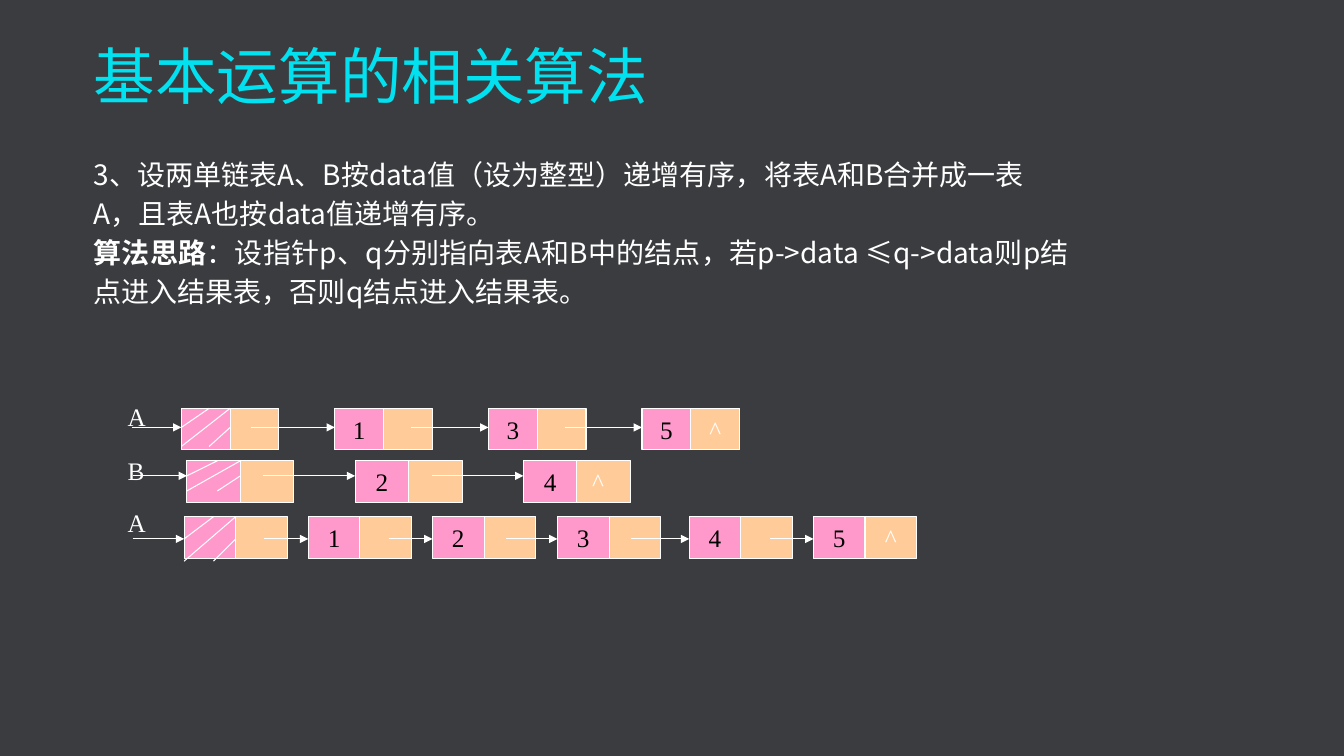
from lxml import etree
from pptx import Presentation
from pptx import util as u
from pptx.dml.color import RGBColor
from pptx.enum import shapes, text
from pptx.oxml import ns

# Content
TITLE = "基本运算的相关算法"
QUESTION = "3、设两单链表A、B按data值（设为整型）递增有序，将表A和B合并成一表A，且表A也按data值递增有序。"
IDEA = "算法思路"
IDEA_TEXT = "：设指针p、q分别指向表A和B中的结点，若p->data ≤q->data则p结点进入结果表，否则q结点进入结果表。"

# One linked list a row, lengths in cm; the first node is the hatched head.
# arrows holds the length of the arrow that ends at each node.
LISTS = [
    dict(name="A", name_top=9.98, top=10.29, cell=1.23, arrow_y=10.77, nil_shift=0,
         values=["", "1", "3", "5"],
         lefts=[4.57 + 3.87 * i for i in range(4)],
         arrows=[1.24, 2.12, 1.95, 1.93]),
    dict(name="B", name_top=11.35, top=11.61, cell=1.35, arrow_y=11.99, nil_shift=0.28,
         values=["", "2", "4"],
         lefts=[4.71 + 4.24 * i for i in range(3)],
         arrows=[1.35, 2.31, 2.31]),
    dict(name="A", name_top=12.65, top=13.02, cell=1.3, arrow_y=13.58, nil_shift=0,
         values=["", "1", "2", "3", "4", "5"],
         lefts=[4.64, 7.77, 10.9, 14.05, 17.37, 20.5],
         arrows=[1.29, 1.12, 1.09, 1.3, 1.47, 1.09]),
]
CELL_H = 1.05
NAME_LEFT, NAME_W, NAME_H = 2.97, 0.95, 1.02

BACKGROUND = RGBColor(0x3A, 0x3C, 0x3F)
CYAN = RGBColor(0x01, 0xE1, 0xEF)
WHITE = RGBColor(0xFF, 0xFF, 0xFF)
BLACK = RGBColor(0, 0, 0)
PINK = RGBColor(0xFF, 0x99, 0xCC)
ORANGE = RGBColor(0xFF, 0xCC, 0x99)
SANS, SERIF = "Noto Sans CJK SC", "Times New Roman"


def set_font(p, name, size, color):
    p.font.name, p.font.size = name, u.Pt(size)
    p.font.color.rgb = color
    for r in p.runs:
        r.font.name = name
        etree.SubElement(r.font._element, ns.qn("a:ea")).set("typeface", name)


def add_line(group, x1, y1, x2, y2, arrow=False):
    line = group.shapes.add_connector(
        shapes.MSO_CONNECTOR.STRAIGHT, u.Cm(x1), u.Cm(y1), u.Cm(x2), u.Cm(y2))
    line.line.color.rgb = WHITE
    line.line.width = u.Pt(0.75)
    if arrow:
        ln = line.line._get_or_add_ln()
        etree.SubElement(ln, ns.qn("a:tailEnd")).set("type", "triangle")
    etree.SubElement(line._element.spPr, ns.qn("a:effectLst"))


def add_cell(group, x, y, width, fill, label, color, shift=0):
    sp = group.shapes.add_shape(
        shapes.MSO_SHAPE.RECTANGLE, u.Cm(x), u.Cm(y), u.Cm(width), u.Cm(CELL_H))
    sp.shadow.inherit = False
    sp.fill.solid()
    sp.fill.fore_color.rgb = fill
    sp.line.color.rgb = WHITE
    sp.line.width = u.Pt(0.75)
    if label:
        tf = sp.text_frame
        tf.margin_left = tf.margin_top = tf.margin_bottom = 0
        tf.margin_right = u.Cm(shift)
        tf.vertical_anchor = text.MSO_ANCHOR.MIDDLE
        p = tf.paragraphs[0]
        p.text, p.alignment = label, text.PP_ALIGN.CENTER
        set_font(p, SERIF, 18, color)


def add_list(slide, row):
    group = slide.shapes.add_group_shape()
    top, cell, y = row["top"], row["cell"], row["arrow_y"]
    last = len(row["values"]) - 1

    # List name
    box = group.shapes.add_textbox(
        u.Cm(NAME_LEFT), u.Cm(row["name_top"]), u.Cm(NAME_W), u.Cm(NAME_H))
    tf = box.text_frame
    tf.word_wrap = True
    tf.vertical_anchor = text.MSO_ANCHOR.MIDDLE
    tf.text = row["name"]
    set_font(tf.paragraphs[0], SERIF, 18, WHITE)

    # Nodes, each with the arrow that reaches it
    for i, (value, x, length) in enumerate(zip(row["values"], row["lefts"], row["arrows"])):
        add_cell(group, x, top, cell, PINK, value, BLACK)
        add_cell(group, x + cell, top, cell, ORANGE, "^" if i == last else "",
                 WHITE, row["nil_shift"])
        add_line(group, x - length, y, x, y, arrow=True)

    # Hatching of the head node
    x = row["lefts"][0]
    right, middle, bottom = x + cell, x + 0.57 * cell, 2 * y - top
    add_line(group, middle, top, x, y)
    add_line(group, right, top, x, bottom)
    add_line(group, right, y, middle, bottom)


def main():
    prs = Presentation()
    prs.slide_width, prs.slide_height = u.Cm(33.87), u.Cm(19.05)
    slide = prs.slides.add_slide(prs.slide_layouts[5])
    slide.background.fill.solid()
    slide.background.fill.fore_color.rgb = BACKGROUND

    # Title
    title = slide.shapes.title
    title.left, title.top, title.width, title.height = (
        u.Cm(2.11), u.Cm(1.04), u.Cm(29.67), u.Cm(1.17))
    tf = title.text_frame
    tf.text = TITLE
    tf.auto_size = text.MSO_AUTO_SIZE.NONE
    tf.vertical_anchor = text.MSO_ANCHOR.TOP
    p = tf.paragraphs[0]
    p.alignment, p.line_spacing = text.PP_ALIGN.LEFT, 0.9
    set_font(p, SANS, 44, CYAN)

    # Question and idea
    body = slide.shapes.add_textbox(u.Cm(2.11), u.Cm(3.71), u.Cm(25.07), u.Cm(5.77))
    tf = body.text_frame
    tf.word_wrap = True
    tf.text = QUESTION
    p = tf.add_paragraph()
    p.alignment = text.PP_ALIGN.JUSTIFY
    r = p.add_run()
    r.text, r.font.bold = IDEA, True
    p.add_run().text = IDEA_TEXT
    for p in tf.paragraphs:
        p.line_spacing = 1.16
        set_font(p, SANS, 20, WHITE)

    # Linked lists
    for row in LISTS:
        add_list(slide, row)

    prs.save("out.pptx")


if __name__ == "__main__":
    main()
